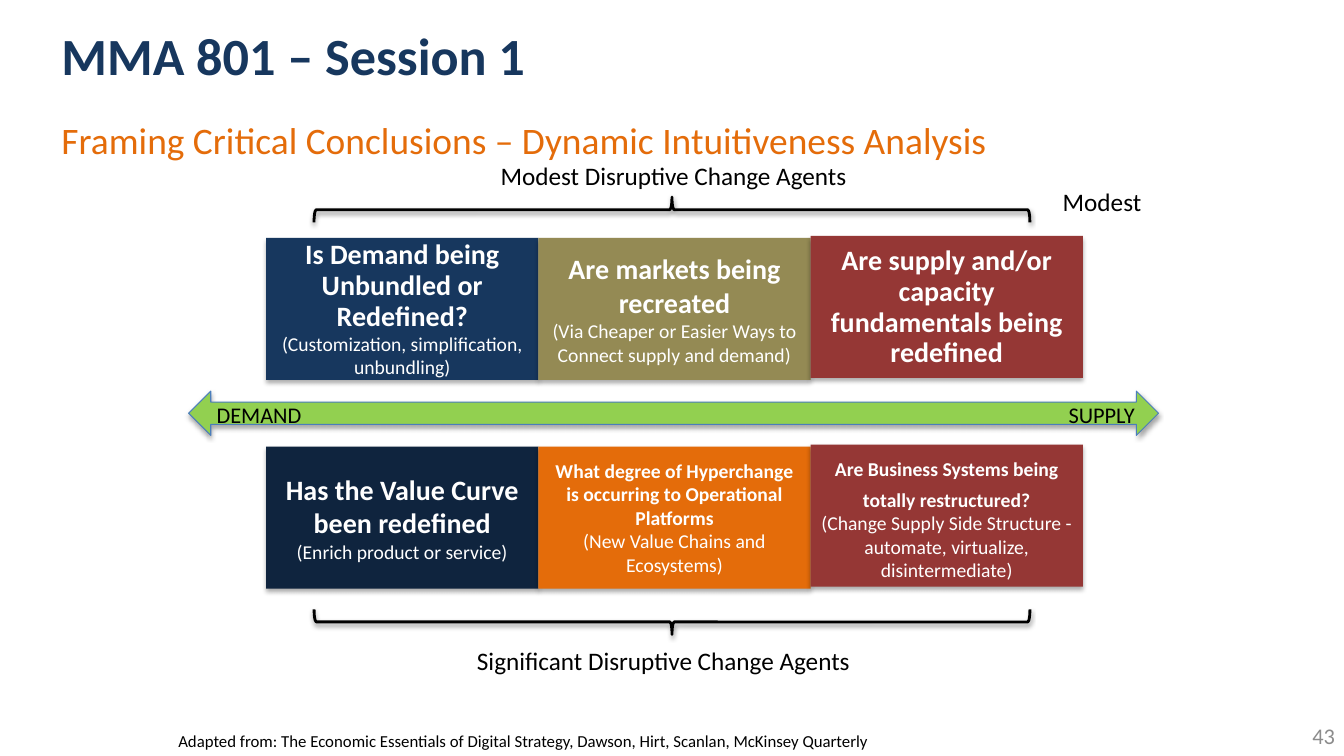
from dataclasses import dataclass

from lxml import etree
from pptx import Presentation
from pptx.dml.color import RGBColor
from pptx.enum.shapes import MSO_SHAPE
from pptx.enum.text import MSO_ANCHOR, MSO_AUTO_SIZE, PP_ALIGN
from pptx.oxml.ns import qn
from pptx.util import Inches, Pt

LEFT, CENTER, RIGHT = PP_ALIGN.LEFT, PP_ALIGN.CENTER, PP_ALIGN.RIGHT
TOP, MIDDLE = MSO_ANCHOR.TOP, MSO_ANCHOR.MIDDLE
RECTANGLE = MSO_SHAPE.RECTANGLE
DOUBLE_ARROW = MSO_SHAPE.LEFT_RIGHT_ARROW
BRACE = MSO_SHAPE.RIGHT_BRACE
NO_AUTOFIT = MSO_AUTO_SIZE.NONE


@dataclass(frozen=True)
class Theme:
    font: str = "Calibri"
    navy: str = "17375E"
    midnight: str = "0F243E"
    olive: str = "948A54"
    orange: str = "E46C0A"
    red: str = "953735"
    green: str = "92D050"
    blue: str = "4B7EBC"
    gray: str = "8C8C8C"
    black: str = "000000"
    white: str = "FFFFFF"
    title: float = 37.3
    subtitle: float = 26.7
    heading: float = 20
    label: float = 18
    axis: float = 16
    detail: float = 14
    source: float = 12


THEME = Theme()


def style(paragraph, size, color, align=LEFT, bold=False):
    paragraph.alignment = align
    font = paragraph.font
    font.name = THEME.font
    font.size = Pt(size)
    font.bold = bold
    font.color.rgb = RGBColor.from_string(color)


def add_shadow(shape, opacity, blur, distance):
    """Give the shape a black shadow that falls straight down."""
    shape.shadow.inherit = False
    effects = shape._element.spPr.find(qn("a:effectLst"))
    shadow = etree.SubElement(effects, qn("a:outerShdw"), blurRad=str(Pt(blur)),
                              dist=str(Pt(distance)), dir="5400000", rotWithShape="0")
    black = etree.SubElement(shadow, qn("a:srgbClr"), val=THEME.black)
    etree.SubElement(black, qn("a:alpha"), val=str(opacity * 1000))


presentation = Presentation()
presentation.slide_width = Inches(13.33)
presentation.slide_height = Inches(7.5)
slide = presentation.slides.add_slide(presentation.slide_layouts[1])
shapes = slide.shapes

# Title and subtitle
title, subtitle = slide.placeholders
headers = [
    (title, "MMA 801 – Session 1", (0.51, 0.07, 10.94, 0.94),
     THEME.title, THEME.navy, True, MIDDLE),
    (subtitle, "Framing Critical Conclusions – Dynamic Intuitiveness Analysis",
     (0.51, 1.11, 12.35, 5.59), THEME.subtitle, THEME.orange, False, TOP),
]
for placeholder, text, box, size, color, bold, anchor in headers:
    placeholder.left, placeholder.top, placeholder.width, placeholder.height = map(Inches, box)
    frame = placeholder.text_frame
    frame.text = text
    frame.auto_size = NO_AUTOFIT
    frame.vertical_anchor = anchor
    paragraph = frame.paragraphs[0]
    if placeholder is subtitle:
        properties = paragraph._p.get_or_add_pPr()
        properties.set("marL", "0")
        properties.set("indent", "0")
        etree.SubElement(properties, qn("a:buNone"))
    style(paragraph, size, color, bold=bold)

# Question grid: fill, heading size, heading line spacing, heading, details
BOX_LEFT, BOX_WIDTH, BOX_HEIGHT = 2.64, 2.7, 1.41
TIGHT = Pt(22)
question_rows = [
    (2.36, [
        (THEME.navy, THEME.heading, TIGHT, "Is Demand being Unbundled or Redefined?",
         ["(Customization, simplification, unbundling)"]),
        (THEME.olive, THEME.heading, None, "Are markets being recreated",
         ["(Via Cheaper or Easier Ways to Connect supply and demand)"]),
        (THEME.red, THEME.heading, TIGHT,
         "Are supply and/or capacity fundamentals being redefined", []),
    ]),
    (4.43, [
        (THEME.midnight, THEME.heading, None, "Has the Value Curve been redefined",
         ["(Enrich product or service)"]),
        (THEME.orange, THEME.detail, None,
         "What degree of Hyperchange is occurring to Operational Platforms",
         ["(New Value Chains and Ecosystems)"]),
        (THEME.red, THEME.detail, TIGHT,
         "Are Business Systems being\ntotally restructured?",
         ["(Change Supply Side Structure -", "automate, virtualize, disintermediate)"]),
    ]),
]
for row_top, questions in question_rows:
    for column, (fill, size, spacing, heading, details) in enumerate(questions):
        top = row_top - 0.02 if column == 2 else row_top
        question = shapes.add_shape(RECTANGLE, Inches(BOX_LEFT + column * BOX_WIDTH),
                                    Inches(top), Inches(BOX_WIDTH), Inches(BOX_HEIGHT))
        question.fill.solid()
        question.fill.fore_color.rgb = RGBColor.from_string(fill)
        question.line.fill.background()
        add_shadow(question, 32, 3.5, 2.2)
        frame = question.text_frame
        frame.word_wrap = True
        frame.vertical_anchor = MIDDLE
        paragraph = frame.paragraphs[0]
        paragraph.text = heading
        paragraph.line_spacing = spacing
        style(paragraph, size, THEME.white, CENTER, bold=True)
        for detail in details:
            paragraph = frame.add_paragraph()
            paragraph.text = detail
            style(paragraph, THEME.detail, THEME.white, CENTER)

# Demand to supply arrow
arrow = shapes.add_shape(DOUBLE_ARROW, Inches(1.87), Inches(3.88), Inches(9.62), Inches(0.44))
arrow.fill.solid()
arrow.fill.fore_color.rgb = RGBColor.from_string(THEME.green)
arrow.line.color.rgb = RGBColor.from_string(THEME.blue)
arrow.line.width = Pt(0.75)
add_shadow(arrow, 35, 3.1, 1.8)

# Braces below and above the grid
for top, rotation in [(2.62, 90), (-1.47, 270)]:
    brace = shapes.add_shape(BRACE, Inches(6.54), Inches(top), Inches(0.25), Inches(7.1))
    brace.rotation = rotation
    brace.fill.background()
    brace.line.color.rgb = RGBColor.from_string(THEME.black)
    brace.line.width = Pt(2)
    add_shadow(brace, 38, 3.1, 1.6)

# Labels, source and slide number
labels = [
    ("Significant Disruptive Change Agents", (4.14, 6.35, 4.88, 0.4),
     THEME.label, THEME.black, CENTER, TOP),
    ("Modest Disruptive Change Agents", (4.24, 1.54, 4.88, 0.4),
     THEME.label, THEME.black, CENTER, TOP),
    ("Modest", (10.38, 1.8, 1.1, 0.4), THEME.label, THEME.black, CENTER, TOP),
    ("SUPPLY", (10.5, 3.93, 1.17, 0.37), THEME.axis, THEME.black, LEFT, TOP),
    ("DEMAND", (2.05, 3.93, 1.17, 0.37), THEME.axis, THEME.black, LEFT, TOP),
    ("Adapted from: The Economic Essentials of Digital Strategy, Dawson, Hirt, Scanlan, "
     "McKinsey Quarterly", (1.67, 7.2, 7.86, 0.3), THEME.source, THEME.black, LEFT, TOP),
    ("43", (11.71, 7.1, 1.63, 0.4), THEME.axis, THEME.gray, RIGHT, MIDDLE),
]
for text, box, size, color, align, anchor in labels:
    frame = shapes.add_textbox(*map(Inches, box)).text_frame
    frame.text = text
    frame.word_wrap = True
    frame.vertical_anchor = anchor
    style(frame.paragraphs[0], size, color, align)

presentation.save("out.pptx")
